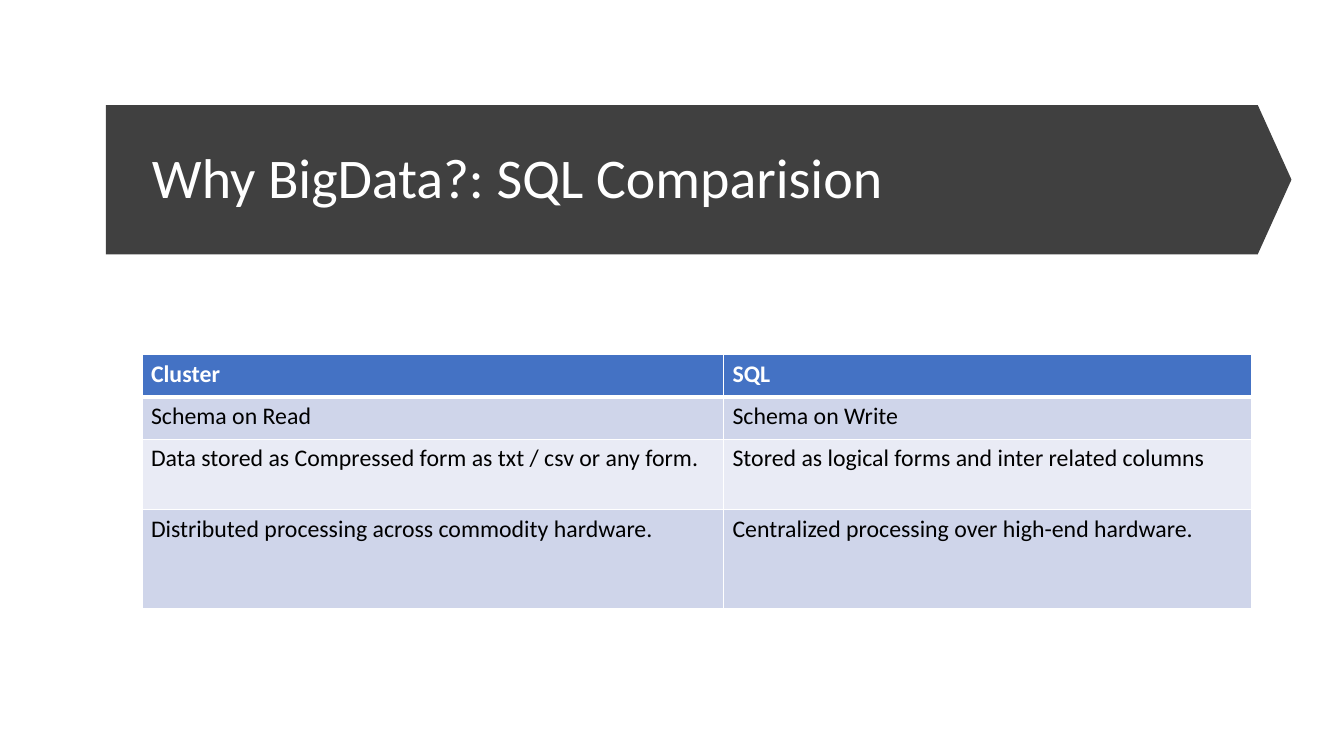
from lxml import etree
from pptx import Presentation
from pptx.dml.color import RGBColor
from pptx.enum.shapes import MSO_SHAPE
from pptx.enum.text import MSO_ANCHOR
from pptx.oxml.ns import qn
from pptx.util import Pt

PENTAGON = MSO_SHAPE.PENTAGON
MIDDLE = MSO_ANCHOR.MIDDLE
WHITE = RGBColor(0xFF, 0xFF, 0xFF)
BLACK = RGBColor(0x00, 0x00, 0x00)
CHARCOAL = RGBColor(0x40, 0x40, 0x40)
HEADER_BLUE = RGBColor(0x44, 0x72, 0xC4)
BANDS = (RGBColor(0xE9, 0xEB, 0xF5), RGBColor(0xCF, 0xD5, 0xEA))
FONT = "Calibri"

TITLE = "Why BigData?: SQL Comparision"
COMPARISON = [
    ("Cluster", "SQL"),
    ("Schema on Read", "Schema on Write"),
    ("Data stored as Compressed form as txt / csv or any form.",
     "Stored as logical forms and inter related columns"),
    ("Distributed processing across commodity hardware.",
     "Centralized processing over high-end hardware."),
]
COL_SHARES = (0.524, 0.476)
ROW_HEIGHTS = (30.2, 30.2, 50.4, 70.6)


def style_paragraph(p, size, color, bold=False):
    p.font.name = FONT
    p.font.size = Pt(size)
    p.font.bold = bold
    p.font.color.rgb = color


def set_border(cell, side, width):
    tcPr = cell._tc.get_or_add_tcPr()
    ln = etree.Element(qn("a:" + side), w=str(Pt(width)))
    fill = etree.SubElement(ln, qn("a:solidFill"))
    etree.SubElement(fill, qn("a:srgbClr"), val=str(WHITE))
    tcPr.append(ln)


def add_banner(slide, x, y, w, h):
    s = slide.shapes.add_shape(PENTAGON, Pt(x), Pt(y), Pt(w), Pt(h))
    s.adjustments[0] = 0.226
    s.shadow.inherit = False
    s.fill.solid()
    s.fill.fore_color.rgb = CHARCOAL
    s.line.fill.background()

    box = slide.shapes.add_textbox(Pt(x + 25.8), Pt(y + 20), Pt(w - 57.8), Pt(h - 38.8))
    tf = box.text_frame
    tf.word_wrap = True
    tf.vertical_anchor = MIDDLE
    p = tf.paragraphs[0]
    p.text = TITLE
    p.line_spacing = 0.9
    style_paragraph(p, 40, WHITE)


def add_comparison(slide, x, y, w):
    frame = slide.shapes.add_table(len(COMPARISON), len(COL_SHARES), Pt(x), Pt(y),
                                   Pt(w), Pt(sum(ROW_HEIGHTS)))
    table = frame.table
    for col, share in zip(table.columns, COL_SHARES):
        col.width = Pt(w * share)
    for r, (texts, height) in enumerate(zip(COMPARISON, ROW_HEIGHTS)):
        table.rows[r].height = Pt(height)
        header = r == 0
        for c, text in enumerate(texts):
            cell = table.cell(r, c)
            cell.margin_left = cell.margin_right = Pt(6.4)
            cell.margin_top = cell.margin_bottom = Pt(3.4)
            p = cell.text_frame.paragraphs[0]
            p.text = text
            style_paragraph(p, 17, WHITE if header else BLACK, header)
            for side in ("lnL", "lnR", "lnT", "lnB"):
                thick = (header and side == "lnB") or (r == 1 and side == "lnT")
                set_border(cell, side, 3 if thick else 1)
            cell.fill.solid()
            cell.fill.fore_color.rgb = HEADER_BLUE if header else BANDS[r % 2]


def main():
    prs = Presentation()
    prs.slide_width, prs.slide_height = Pt(960), Pt(540)
    slide = prs.slides.add_slide(prs.slide_layouts[6])
    add_banner(slide, 75.7, 75, 846.8, 106.6)
    add_comparison(slide, 101.5, 253.4, 792.7)
    prs.save("out.pptx")


if __name__ == "__main__":
    main()
